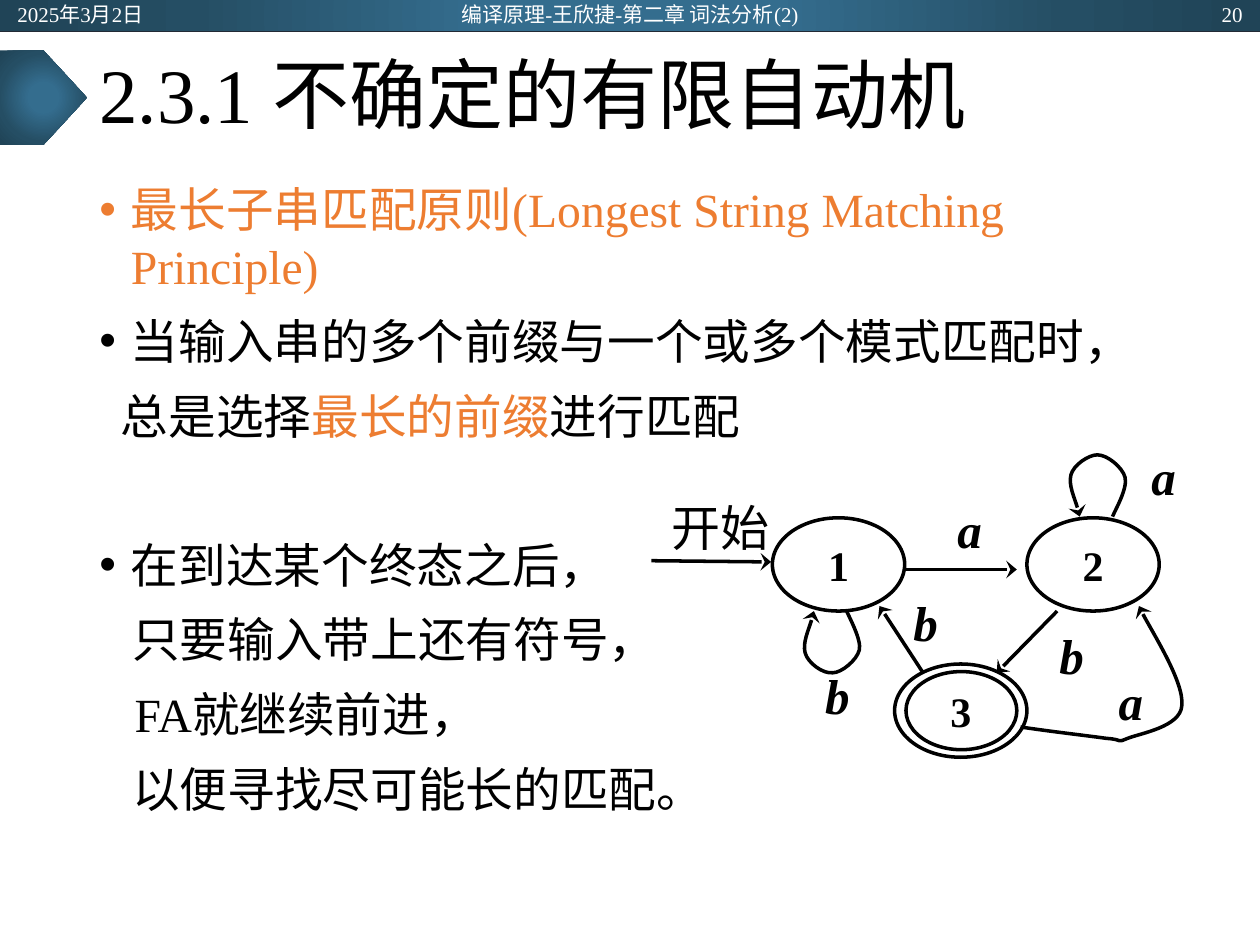
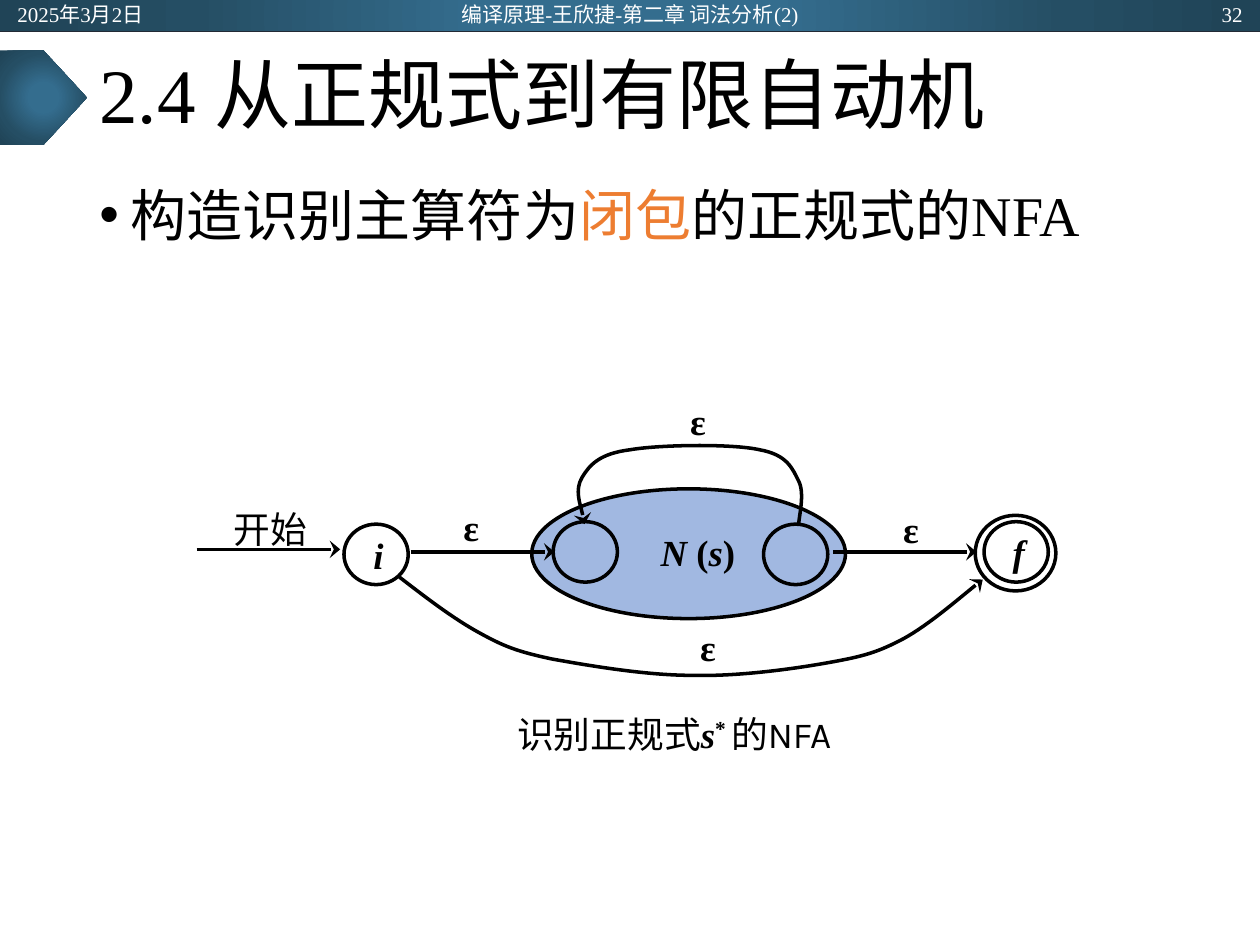
from dataclasses import dataclass

from lxml import etree
from pptx import Presentation
from pptx.dml.color import RGBColor
from pptx.enum.shapes import MSO_CONNECTOR, MSO_SHAPE
from pptx.enum.text import MSO_ANCHOR, PP_ALIGN
from pptx.oxml import parse_xml
from pptx.oxml.ns import nsdecls, qn
from pptx.util import Pt

PX = 9144
BLACK = RGBColor(0x00, 0x00, 0x00)
WHITE = RGBColor(0xFF, 0xFF, 0xFF)
ORANGE = RGBColor(0xED, 0x7D, 0x31)
BLUE = RGBColor(0x44, 0x72, 0xC4)
NAVY = RGBColor(0x22, 0x2A, 0x35)
BAND_STOPS = (
    (0, RGBColor(0x34, 0x6D, 0x8E)),
    (23, RGBColor(0x34, 0x6D, 0x8E)),
    (69, RGBColor(0x25, 0x4E, 0x64)),
    (97, RGBColor(0x20, 0x44, 0x57)),
)
SERIF = "Times New Roman"
CJK = "Noto Sans CJK SC"
SANS = "Karla"
LEFT, CENTER, RIGHT = PP_ALIGN.LEFT, PP_ALIGN.CENTER, PP_ALIGN.RIGHT
MIDDLE, TOP = MSO_ANCHOR.MIDDLE, MSO_ANCHOR.TOP
ELLIPSE, RECTANGLE, PENTAGON = MSO_SHAPE.OVAL, MSO_SHAPE.RECTANGLE, MSO_SHAPE.PENTAGON
STRAIGHT = MSO_CONNECTOR.STRAIGHT
WIDE = (10, 5, 10, 5)
TIGHT = (4, 2, 4, 2)
RAISED = (6, 2, 7, 4)

Box = tuple[int, int, int, int]
Point = tuple[int, int]


@dataclass(frozen=True)
class Run:
    text: str
    color: RGBColor = BLACK
    font: str = SERIF
    bold: bool = False
    italic: bool = False
    raised: bool = False


@dataclass(frozen=True)
class Para:
    runs: tuple[Run, ...]
    align: PP_ALIGN = LEFT
    bullet: bool = False
    indent: int = 0
    before: float = 0
    spacing: float = 1.0


@dataclass(frozen=True)
class State:
    box: Box
    name: str = ""
    size: float = 24
    italic: bool = False
    accepting: Box | None = None
    insets: Box = TIGHT


@dataclass(frozen=True)
class Label:
    box: Box
    runs: tuple[Run, ...]
    size: float
    insets: Box = TIGHT


@dataclass(frozen=True)
class Arrow:
    start: Point
    end: Point


@dataclass(frozen=True)
class Curve:
    points: tuple[Point, ...]


def px(*values: int) -> list[int]:
    return [value * PX for value in values]


def symbol(text: str) -> tuple[Run, ...]:
    return (Run(text, bold=True, italic=True),)


def write(shape, paras: list[Para], size: float, anchor=MIDDLE,
          insets: Box = WIDE, wrap: bool = True) -> None:
    frame = shape.text_frame
    frame.word_wrap = wrap
    frame.vertical_anchor = anchor
    (frame.margin_left, frame.margin_top,
     frame.margin_right, frame.margin_bottom) = px(*insets)
    for index, para in enumerate(paras):
        line = frame.paragraphs[0] if index == 0 else frame.add_paragraph()
        line.alignment = para.align
        line.line_spacing = para.spacing
        if index:
            line.space_before = Pt(para.before)
        props = line._p.get_or_add_pPr()
        props.set("marL", str(para.indent * PX))
        props.set("indent", str(-para.indent * PX if para.bullet else 0))
        if para.bullet:
            etree.SubElement(props, qn("a:buFont")).set("typeface", "Arial")
            etree.SubElement(props, qn("a:buChar")).set("char", "•")
        for part in para.runs:
            run = line.add_run()
            run.text = part.text
            font = run.font
            font.size = Pt(size)
            font.bold, font.italic = part.bold, part.italic
            font.color.rgb = part.color
            font.name = part.font
            run_props = run._r.get_or_add_rPr()
            etree.SubElement(run_props, qn("a:ea")).set("typeface", CJK)
            if part.raised:
                run_props.set("baseline", "30000")


def add_text(slide, box: Box, paras: list[Para], size: float, anchor=MIDDLE,
             insets: Box = WIDE) -> None:
    write(slide.shapes.add_textbox(*px(*box)), paras, size, anchor, insets)


def add_band(slide, kind, box: Box) -> None:
    band = slide.shapes.add_shape(kind, *px(*box))
    band.shadow.inherit = False
    band.line.fill.background()
    band.fill.background()
    stops = "".join(
        f'<a:gs pos="{pos * 1000}"><a:srgbClr val="{color}"/></a:gs>'
        for pos, color in BAND_STOPS)
    gradient = parse_xml(
        f'<a:gradFill {nsdecls("a")}><a:gsLst>{stops}</a:gsLst>'
        '<a:path path="circle"><a:fillToRect l="50000" t="50000" '
        'r="50000" b="50000"/></a:path></a:gradFill>')
    props = band._element.spPr
    props.replace(props.find(qn("a:noFill")), gradient)


def add_line(slide, start: Point, end: Point, color: RGBColor, width: float):
    line = slide.shapes.add_connector(STRAIGHT, *px(*start, *end))
    line.line.color.rgb = color
    line.line.width = Pt(width)
    etree.SubElement(line._element.spPr, qn("a:effectLst"))
    return line


def add_arrowhead(shape) -> None:
    head = etree.SubElement(shape.line._get_or_add_ln(), qn("a:tailEnd"))
    head.set("type", "stealth")
    head.set("w", "lg")
    head.set("len", "med")


def add_arrow(slide, arrow: Arrow) -> None:
    add_arrowhead(add_line(slide, arrow.start, arrow.end, BLACK, 2))


def add_curve(slide, curve: Curve) -> None:
    builder = slide.shapes.build_freeform(*curve.points[0], scale=PX)
    builder.add_line_segments(curve.points[1:], close=False)
    shape = builder.convert_to_shape()
    segments = list(shape._element.iter(qn("a:lnTo")))
    for first in range(0, len(segments), 3):
        bezier = etree.Element(qn("a:cubicBezTo"))
        segments[first].addprevious(bezier)
        for segment in segments[first:first + 3]:
            bezier.append(segment[0])
            segment.getparent().remove(segment)
    shape.shadow.inherit = False
    shape.fill.background()
    shape.line.color.rgb = BLACK
    shape.line.width = Pt(2)
    add_arrowhead(shape)


def add_ellipse(slide, box: Box):
    ellipse = slide.shapes.add_shape(ELLIPSE, *px(*box))
    ellipse.shadow.inherit = False
    ellipse.fill.background()
    ellipse.line.color.rgb = BLACK
    ellipse.line.width = Pt(2)
    return ellipse


def add_state(slide, state: State) -> None:
    circle = add_ellipse(slide, state.box)
    if state.name:
        name = Run(state.name, bold=True, italic=state.italic)
        write(circle, [Para((name,), CENTER)], state.size,
              insets=state.insets, wrap=False)
    if state.accepting:
        add_ellipse(slide, state.accepting)


def add_label(slide, label: Label) -> None:
    add_text(slide, label.box, [Para(label.runs, CENTER)], label.size,
             insets=label.insets)


def draw_automaton(slide, states: list[State], arrows: list[Arrow],
                   curves: list[Curve], labels: list[Label]) -> None:
    for draw, parts in ((add_state, states), (add_arrow, arrows),
                        (add_curve, curves), (add_label, labels)):
        for part in parts:
            draw(slide, part)


def start_slide(deck, title: str, number: str, body: list[Para], body_size: float):
    slide = deck.slides.add_slide(deck.slide_layouts[6])
    add_band(slide, RECTANGLE, (0, 0, 1000, 25))
    add_line(slide, (0, 25), (1000, 25), NAVY, 0.5)
    add_band(slide, PENTAGON, (0, 40, 69, 75))
    add_text(slide, (69, 26, 862, 104), [Para((Run(title),), spacing=0.9)], 44)
    add_text(slide, (69, 138, 862, 538), body, body_size, TOP)
    for left, width, align, text in (
            (4, 225, LEFT, "2025年3月2日"),
            (331, 338, CENTER, "编译原理-王欣捷-第二章 词法分析(2)"),
            (771, 225, RIGHT, number)):
        add_text(slide, (left, 1, width, 20), [Para((Run(text, WHITE),), align)], 12)
    return slide


def body_line(*runs: Run, bullet: bool = False, indent: int = 25,
              before: float = 10) -> Para:
    return Para(runs, bullet=bullet, indent=indent, before=before)


def build_nondeterministic_slide(deck) -> None:
    body = [
        body_line(Run("最长子串匹配原则(Longest String Matching Principle)", ORANGE),
                  bullet=True),
        body_line(Run("当输入串的多个前缀与一个或多个模式匹配时，"), bullet=True),
        body_line(Run("总是选择"), Run("最长的前缀", ORANGE), Run("进行匹配"), indent=17),
        body_line(Run("在到达某个终态之后，"), bullet=True, before=52.5),
        body_line(Run("只要输入带上还有符号，"), indent=26),
        body_line(Run("FA就继续前进，"), indent=28),
        body_line(Run("以便寻找尽可能长的匹配。"), indent=26),
    ]
    slide = start_slide(deck, "2.3.1 不确定的有限自动机", "20", body, 27.2)
    states = [
        State((613, 411, 105, 74), "1"),
        State((815, 411, 105, 74), "2"),
        State((710, 527, 105, 74), "3", accepting=(719, 533, 88, 62)),
    ]
    arrows = [
        Arrow((517, 445), (612, 446)),
        Arrow((718, 452), (807, 452)),
        Arrow((839, 485), (791, 534)),
        Arrow((732, 533), (698, 481)),
    ]
    curves = [
        Curve(((672, 485), (674, 490), (684, 508), (682, 516), (680, 524), (668, 534),
               (661, 534), (653, 535), (641, 526), (639, 518), (637, 510), (645, 492),
               (646, 485))),
        Curve(((883, 410), (885, 405), (895, 388), (893, 379), (891, 371), (879, 361),
               (871, 361), (864, 361), (852, 369), (850, 377), (848, 385), (856, 403),
               (857, 410))),
        Curve(((810, 577), (837, 581), (864, 584), (878, 586), (893, 587), (885, 590),
               (895, 586), (905, 582), (937, 577), (938, 560), (940, 542), (908, 491),
               (904, 481))),
    ]
    labels = [Label((left, top, 55, 51), symbol(text), 28) for left, top, text in (
        (742, 394, "a"), (896, 352, "a"), (870, 531, "a"),
        (637, 526, "b"), (823, 494, "b"), (707, 468, "b"))]
    labels.append(Label((507, 390, 129, 57), (Run("开始"),), 28))
    draw_automaton(slide, states, arrows, curves, labels)


def build_closure_slide(deck) -> None:
    body = [body_line(Run("构造识别主算符为", font=CJK), Run("闭包", ORANGE, CJK),
                      Run("的正规式的", font=CJK), Run("NFA"), bullet=True)]
    slide = start_slide(deck, "2.4 从正规式到有限自动机", "32", body, 32)
    inner_automaton = add_ellipse(slide, (422, 388, 249, 103))
    inner_automaton.fill.solid()
    inner_automaton.fill.fore_color.rgb = BLUE
    tint = inner_automaton._element.spPr.find(qn("a:solidFill"))[0]
    etree.SubElement(tint, qn("a:alpha")).set("val", "50000")
    states = [
        State((273, 416, 51, 48), "i", 21, True, insets=(6, 2, 2, 2)),
        State((439, 414, 51, 48)),
        State((606, 416, 51, 48)),
        State((781, 414, 51, 48), "f", 21, True, (774, 409, 64, 60), (6, 2, 2, 2)),
    ]
    arrows = [Arrow((left, top), (left + 114, top))
              for left, top in ((156, 436), (326, 438), (661, 438))]
    curves = [
        Curve(((317, 458), (339, 475), (360, 491), (380, 502), (400, 513), (410, 517),
               (438, 523), (466, 528), (512, 536), (549, 536), (585, 537), (629, 531),
               (657, 526), (685, 521), (696, 518), (717, 507), (737, 496), (767, 470),
               (780, 460))),
        Curve(((634, 416), (634, 410), (639, 392), (634, 382), (629, 372), (625, 361),
               (603, 357), (581, 352), (523, 353), (500, 357), (476, 360), (468, 369),
               (462, 379), (456, 389), (463, 408), (464, 416))),
    ]
    labels = [Label((left, top, 49, 44), (Run("ε", bold=True),), 21, RAISED)
              for left, top in ((350, 397), (538, 492), (699, 399), (530, 313))]
    labels += [
        Label((173, 397, 83, 45), (Run("开始"),), 21),
        Label((511, 410, 87, 58), (*symbol("N "), Run("(", bold=True), *symbol("s"),
                                   Run(")", bold=True)), 21, RAISED),
        Label((344, 562, 382, 40), (
            Run("识别正规式"), *symbol("s"), Run("* ", bold=True, raised=True),
            Run("的", font=CJK), Run("NFA", font=SANS)), 21),
    ]
    draw_automaton(slide, states, arrows, curves, labels)


def main() -> None:
    deck = Presentation()
    deck.slide_width, deck.slide_height = px(1000, 750)
    build_nondeterministic_slide(deck)
    build_closure_slide(deck)
    deck.save("out.pptx")


if __name__ == "__main__":
    main()
